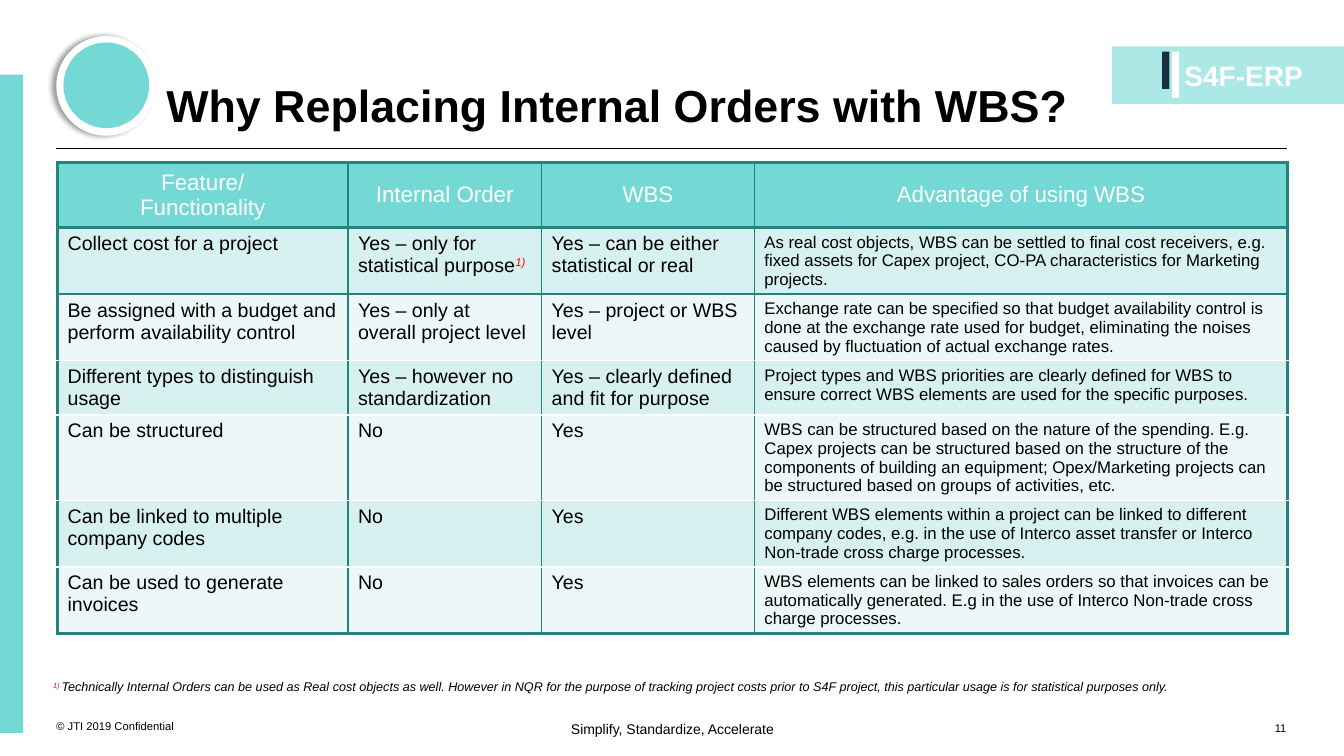
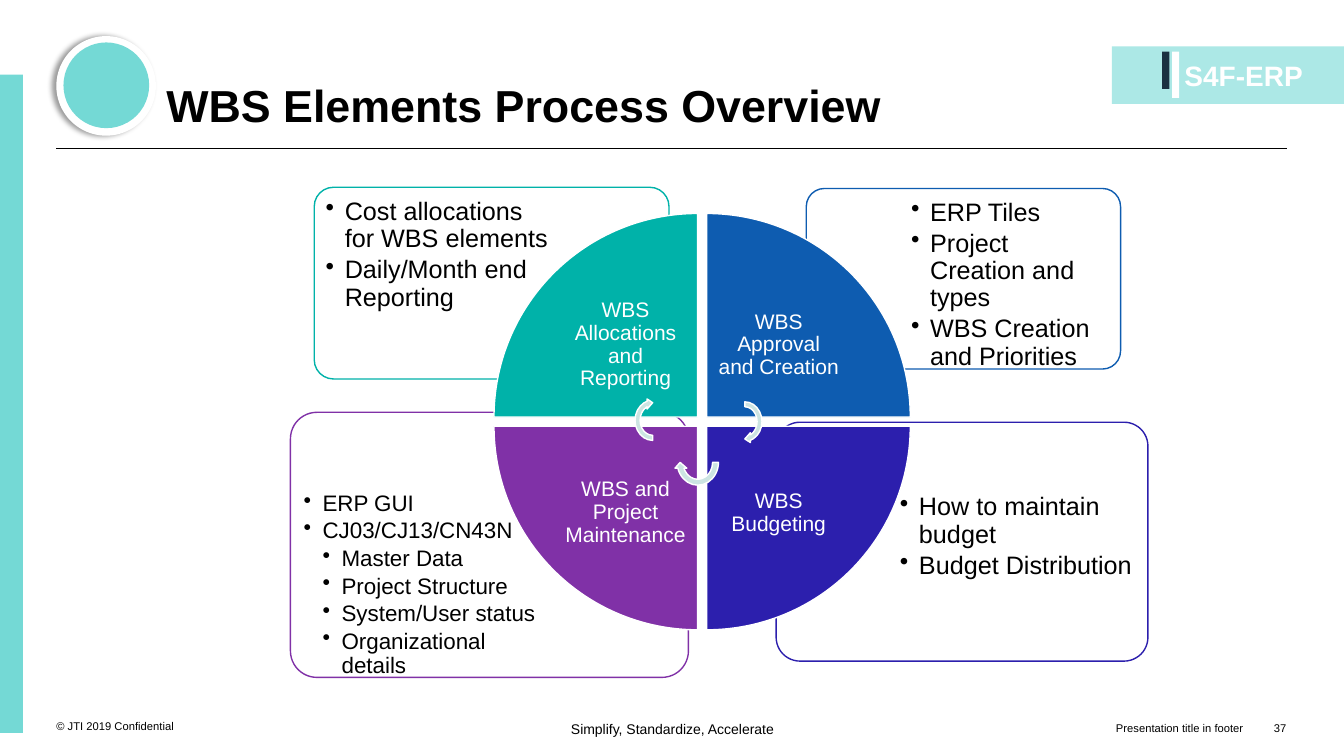
from dataclasses import dataclass
from typing import Any, NamedTuple

from lxml import etree
from pptx import Presentation
from pptx import util as u
from pptx.dml.color import RGBColor
from pptx.enum import shapes, text
from pptx.oxml.ns import qn

FONT = "Arial"
BLACK, WHITE, RED = "000000", "FFFFFF", "FF0000"
TURQUOISE, PALE_TURQUOISE, NAVY = "74D9D5", "ACE8E6", "1A3040"
RULE, BAND_DARK, BAND_LIGHT = "24837F", "D6F1EF", "EBF8F7"
TEAL, BLUE, INDIGO, PURPLE, MIST = "00B2A9", "0E5CB0", "2C1FAD", "8031A7", "CCE4E2"
SHAPE, ALIGN, ANCHOR = shapes.MSO_SHAPE, text.PP_ALIGN, text.MSO_ANCHOR


class Box(NamedTuple):
    """A frame in centimetres."""
    left: float
    top: float
    width: float
    height: float

    def lengths(self) -> list[u.Length]:
        return [u.Cm(value) for value in self]


@dataclass
class Feature:
    height: float
    cells: tuple[str, str, str, str]
    mark: str = ""


@dataclass
class Quadrant:
    colour: str
    label: str
    column: int
    row: int
    turn: int
    card: Box
    notes: Box
    size: int
    points: list[tuple[int, str]]


# Helpers
def rgb(value: str) -> RGBColor:
    return RGBColor.from_string(value)


def apply(target: Any, formats: dict[str, Any]) -> None:
    for name, value in formats.items():
        setattr(target, name, value)


def add_words(paragraph: Any, words: str, size: float, colour: str = BLACK,
              raised: bool = False, **formats: Any) -> None:
    run = paragraph.add_run()
    run.text = words
    apply(run.font, {"name": FONT, "size": u.Pt(size), **formats})
    run.font.color.rgb = rgb(colour)
    if raised:
        run._r.get_or_add_rPr().set("baseline", "30000")


def set_frame(frame: Any, anchor: Any, inset: float) -> None:
    margins = {f"margin_{side}": u.Cm(inset) for side in ("left", "top", "right", "bottom")}
    apply(frame, {"word_wrap": True, "auto_size": text.MSO_AUTO_SIZE.NONE,
                  "vertical_anchor": anchor, **margins})


def add_text(slide: Any, box: Box, words: str = "", size: float = 8, colour: str = BLACK,
             align: Any = ALIGN.LEFT, anchor: Any = ANCHOR.TOP, inset: float = 0,
             spacing: float = 1.0, **formats: Any) -> Any:
    frame = slide.shapes.add_textbox(*box.lengths()).text_frame
    set_frame(frame, anchor, inset)
    apply(frame.paragraphs[0], {"alignment": align, "line_spacing": spacing})
    if words:
        add_words(frame.paragraphs[0], words, size, colour, **formats)
    return frame


def add_figure(slide: Any, kind: Any, box: Box, fill: str, line: str = "",
               rotation: float = 0) -> Any:
    figure = slide.shapes.add_shape(kind, *box.lengths())
    figure.shadow.inherit = False
    figure.rotation = rotation
    figure.fill.solid()
    figure.fill.fore_color.rgb = rgb(fill)
    if line:
        figure.line.color.rgb = rgb(line)
        figure.line.width = u.Pt(1)
    else:
        figure.line.fill.background()
    return figure


def add_shadow(figure: Any) -> None:
    effects = figure._element.spPr.find(qn("a:effectLst"))
    shadow = etree.SubElement(effects, qn("a:outerShdw"), blurRad=str(u.Pt(4)),
                              dist=str(u.Pt(3)), dir="10800000", rotWithShape="0")
    black = etree.SubElement(shadow, qn("a:srgbClr"), val=BLACK)
    etree.SubElement(black, qn("a:alpha"), val="40000")


def add_bullets(frame: Any, points: list[tuple[int, str]], size: int) -> None:
    step = u.Cm(0.48)
    for index, (level, words) in enumerate(points):
        paragraph = frame.paragraphs[0] if index == 0 else frame.add_paragraph()
        apply(paragraph, {"level": level, "line_spacing": 0.9,
                          "space_after": u.Pt(size * 0.15)})
        properties = paragraph._p.get_or_add_pPr()
        properties.set("marL", str(step * level))
        properties.set("indent", str(-step))
        etree.SubElement(properties, qn("a:buChar"), char="•")
        add_words(paragraph, words, size)


def set_border(cell: Any, side: str, colour: str, points: float) -> None:
    line = etree.SubElement(cell._tc.get_or_add_tcPr(), qn(f"a:ln{side}"),
                            w=str(u.Pt(points)))
    fill = etree.SubElement(line, qn("a:solidFill"))
    etree.SubElement(fill, qn("a:srgbClr"), val=colour)


# Parts shared by both slides
def add_base(deck: Any, heading: str, number: int) -> Any:
    slide = deck.slides.add_slide(deck.slide_layouts[5])
    add_text(slide, Box(1.42, 17.45, 5, 1.02), "© JTI 2019 Confidential",
             anchor=ANCHOR.BOTTOM)
    add_text(slide, Box(13.06, 18.16, 7.77, 0.76), "Simplify, Standardize, Accelerate",
             10, align=ALIGN.CENTER)
    add_text(slide, Box(31.32, 17.5, 1.1, 1.02), str(number), align=ALIGN.RIGHT,
             anchor=ANCHOR.BOTTOM)

    rule = slide.shapes.add_connector(shapes.MSO_CONNECTOR.STRAIGHT, u.Cm(1.42),
                                      u.Cm(3.73), u.Cm(32.44), u.Cm(3.73))
    rule.line.color.rgb = rgb(BLACK)
    rule.line.width = u.Pt(0.75)
    etree.SubElement(rule._element.spPr, qn("a:effectLst"))

    # Project badge
    add_figure(slide, SHAPE.RECTANGLE, Box(28.02, 1.17, 5.85, 1.45), PALE_TURQUOISE)
    add_figure(slide, SHAPE.RECTANGLE, Box(29.29, 1.3, 0.18, 0.94), NAVY)
    add_figure(slide, SHAPE.RECTANGLE, Box(29.54, 1.3, 0.18, 1.17), WHITE)
    add_text(slide, Box(29.85, 1.47, 3.4, 1.27), "S4F-ERP", 20, WHITE, bold=True)

    # Side band and disc
    add_figure(slide, SHAPE.RECTANGLE, Box(0, 1.88, 0.58, 16.59), TURQUOISE)
    add_shadow(add_figure(slide, SHAPE.OVAL, Box(1.42, 0.91, 2.51, 2.51), WHITE))
    add_figure(slide, SHAPE.OVAL, Box(1.6, 1.07, 2.16, 2.16), TURQUOISE)

    title = slide.shapes.title
    apply(title, dict(zip(("left", "top", "width", "height"),
                          Box(4.19, 0.58, 26.21, 2.74).lengths())))
    set_frame(title.text_frame, ANCHOR.BOTTOM, 0)
    paragraph = title.text_frame.paragraphs[0]
    apply(paragraph, {"alignment": ALIGN.LEFT, "line_spacing": 0.9})
    add_words(paragraph, heading, 32, bold=True)
    return slide


# Comparison table
COLUMNS = {"Feature/\nFunctionality": 7.32, "Internal Order": 4.88, "WBS": 5.36,
           "Advantage of using WBS": 13.44}
FEATURES = [
    Feature(1.67, ("Collect cost for a project", "Yes – only for statistical purpose",
                   "Yes – can be either statistical or real",
                   "As real cost objects, WBS can be settled to final cost receivers, e.g. "
                   "fixed assets for Capex project, CO-PA characteristics for Marketing "
                   "projects."), "1)"),
    Feature(1.67, ("Be assigned with a budget and perform availability control",
                   "Yes – only at overall project level", "Yes – project or WBS level",
                   "Exchange rate can be specified so that budget availability control is "
                   "done at the exchange rate used for budget, eliminating the noises "
                   "caused by fluctuation of actual exchange rates.")),
    Feature(1.36, ("Different types to distinguish usage",
                   "Yes – however no standardization",
                   "Yes – clearly defined and fit for purpose",
                   "Project types and WBS priorities are clearly defined for WBS to ensure "
                   "correct WBS elements are used for the specific purposes.")),
    Feature(2.15, ("Can be structured", "No", "Yes",
                   "WBS can be structured based on the nature of the spending. E.g. Capex "
                   "projects can be structured based on the structure of the components of "
                   "building an equipment; Opex/Marketing projects can be structured based "
                   "on groups of activities, etc.")),
    Feature(1.67, ("Can be linked to multiple company codes", "No", "Yes",
                   "Different WBS elements within a project can be linked to different "
                   "company codes, e.g. in the use of Interco asset transfer or Interco "
                   "Non-trade cross charge processes.")),
    Feature(1.67, ("Can be used to generate invoices", "No", "Yes",
                   "WBS elements can be linked to sales orders so that invoices can be "
                   "automatically generated. E.g in the use of Interco Non-trade cross "
                   "charge processes.")),
]


def add_comparison(slide: Any) -> None:
    rows = [Feature(1.65, tuple(COLUMNS)), *FEATURES]
    frame = Box(1.45, 4.09, sum(COLUMNS.values()), sum(row.height for row in rows))
    table = slide.shapes.add_table(len(rows), len(COLUMNS), *frame.lengths()).table
    for column, width in zip(table.columns, COLUMNS.values()):
        column.width = u.Cm(width)

    thick, thin, first_rule, pale = (RULE, 2.25), (RULE, 1), (RULE, 1.5), (WHITE, 1)
    last = len(rows) - 1
    edges = [thick, thick, first_rule] + [pale] * (last - 2) + [thick]
    sides = [thick] + [thin] * (len(COLUMNS) - 1) + [thick]
    for r, row in enumerate(rows):
        table.rows[r].height = u.Cm(row.height)
        header = r == 0
        for c, words in enumerate(row.cells):
            cell = table.cell(r, c)
            borders = {"L": sides[c], "R": sides[c + 1], "T": edges[r], "B": edges[r + 1]}
            for side, (colour, points) in borders.items():
                set_border(cell, side, colour, points)
            cell.fill.solid()
            cell.fill.fore_color.rgb = rgb(
                TURQUOISE if header else BAND_DARK if r % 2 else BAND_LIGHT)
            cell.vertical_anchor = ANCHOR.MIDDLE if header else ANCHOR.TOP
            size = 16 if header else 12 if c == len(COLUMNS) - 1 else 14
            for index, line in enumerate(words.split("\n")):
                area = cell.text_frame
                paragraph = area.add_paragraph() if index else area.paragraphs[0]
                paragraph.alignment = ALIGN.CENTER if header else ALIGN.LEFT
                add_words(paragraph, line, size, WHITE if header else BLACK, bold=False)
            if row.mark and c == 1:
                add_words(paragraph, row.mark, size, RED, True, italic=True, bold=False)


# Process wheel
QUADRANTS = [
    Quadrant(INDIGO, "WBS Budgeting", 1, 1, 180, Box(19.56, 10.64, 9.37, 6.02),
             Box(22.5, 12.27, 6.3, 4.24), 18,
             [(1, "How to maintain budget"), (1, "Budget Distribution")]),
    Quadrant(PURPLE, "WBS and Project Maintenance", 0, 1, 270,
             Box(7.32, 10.39, 10.03, 6.68), Box(7.47, 12.22, 6.73, 4.72), 16,
             [(1, "ERP GUI"), (1, "CJ03/CJ13/CN43N"), (2, "Master Data"),
              (2, "Project Structure"), (2, "System/User status"),
              (2, "Organizational details")]),
    Quadrant(BLUE, "WBS Approval and Creation", 1, 0, 90, Box(20.32, 4.75, 7.92, 4.55),
             Box(22.78, 4.85, 5.36, 3.23), 18,
             [(1, "ERP Tiles"), (1, "Project Creation and types"),
              (1, "WBS Creation and Priorities")]),
    Quadrant(TEAL, "WBS Allocations and Reporting", 0, 0, 0, Box(7.92, 4.72, 8.94, 4.83),
             Box(8.03, 4.83, 6.05, 3.4), 18,
             [(1, "Cost allocations for WBS elements"), (1, "Daily/Month end Reporting")]),
]
TURN_ARROWS = {90: Box(18.21, 10.13, 1.12, 0.99), 180: Box(16.99, 11, 1.19, 1.3),
               270: Box(15.88, 10.08, 1.14, 1.02)}


def add_wheel(slide: Any) -> None:
    wedge, pitch, label = 5.13, 5.36, 3.63
    for part in QUADRANTS:
        card = add_figure(slide, SHAPE.ROUNDED_RECTANGLE, part.card, WHITE, part.colour)
        card.adjustments[0] = 0.1
        add_bullets(add_text(slide, part.notes, inset=0.18), part.points, part.size)
    for part in QUADRANTS:
        left, top = 12.45 + pitch * part.column, 5.38 + pitch * part.row
        add_figure(slide, SHAPE.PIE_WEDGE, Box(left, top, wedge, wedge), part.colour,
                   WHITE, part.turn)
        # Labels sit at the inner corner; the lower ones are set down a little
        label_left = left if part.column else left + wedge - label
        label_top = top + 0.37 if part.row else top + wedge - label
        add_text(slide, Box(label_left, label_top, label, label), part.label, 15, WHITE,
                 ALIGN.CENTER, ANCHOR.MIDDLE, 0.3, 0.9)
    for turn, box in TURN_ARROWS.items():
        add_figure(slide, SHAPE.CIRCULAR_ARROW, box, MIST, WHITE, turn)


def main() -> None:
    deck = Presentation()
    apply(deck, {"slide_width": u.Cm(33.87), "slide_height": u.Cm(19.05)})

    comparison = add_base(deck, "Why Replacing Internal Orders with WBS?", 11)
    add_comparison(comparison)
    footnote = add_text(comparison, Box(1.34, 17.12, 31.08, 0.64), "1) ", 9, RED,
                        raised=True, italic=True)
    add_words(footnote.paragraphs[0],
              "Technically Internal Orders can be used as Real cost objects as well. However "
              "in NQR for the purpose of tracking project costs prior to S4F project, this "
              "particular usage is for statistical purposes only.", 9, italic=True)

    overview = add_base(deck, "WBS Elements Process Overview", 37)
    add_text(overview, Box(19.66, 17.5, 11.68, 1.02), "Presentation title in footer",
             align=ALIGN.RIGHT, anchor=ANCHOR.BOTTOM)
    add_wheel(overview)
    deck.save("out.pptx")


if __name__ == "__main__":
    main()
